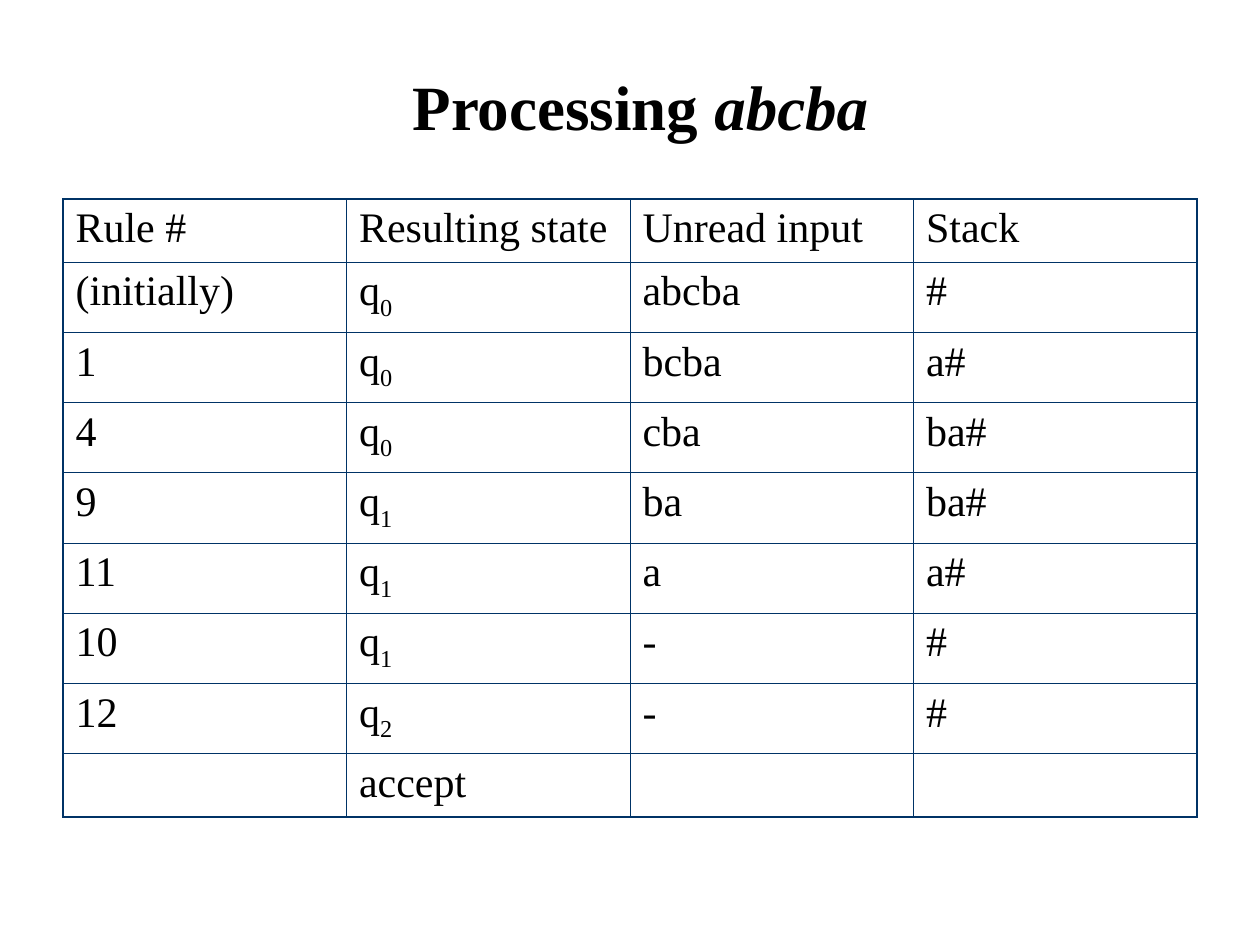
from lxml import etree
from pptx import Presentation
from pptx.dml.color import RGBColor
from pptx.enum import text
from pptx.oxml import ns
from pptx.util import Pt

BLACK = RGBColor(0x00, 0x00, 0x00)
NAVY = RGBColor(0x00, 0x33, 0x66)
FONT = "Times New Roman"
OUTER, INNER = Pt(1.08), Pt(0.45)

HEADINGS = ["Rule #", "Resulting state", "Unread input", "Stack"]
# Each step: rule, state subscript, unread input, stack
STEPS = [
    ("(initially)", "0", "abcba", "#"),
    ("1", "0", "bcba", "a#"),
    ("4", "0", "cba", "ba#"),
    ("9", "1", "ba", "ba#"),
    ("11", "1", "a", "a#"),
    ("10", "1", "-", "#"),
    ("12", "2", "-", "#"),
]
OUTCOME = ["", "accept", "", ""]


def style(paragraph, size):
    paragraph.font.name = FONT
    paragraph.font.size = Pt(size)
    paragraph.font.color.rgb = BLACK


def add_border(cell, side, width):
    line = etree.SubElement(cell._tc.get_or_add_tcPr(), ns.qn("a:ln" + side), w=str(width))
    fill = etree.SubElement(line, ns.qn("a:solidFill"))
    etree.SubElement(fill, ns.qn("a:srgbClr"), val=str(NAVY))


prs = Presentation()
prs.slide_width, prs.slide_height = Pt(720), Pt(540)
slide = prs.slides.add_slide(prs.slide_layouts[5])

# Title
title = slide.shapes.title
title.left, title.top, title.width, title.height = Pt(60), Pt(18), Pt(612), Pt(90)
title.text_frame.auto_size = text.MSO_AUTO_SIZE.NONE
title.text_frame.vertical_anchor = text.MSO_ANCHOR.MIDDLE
heading = title.text_frame.paragraphs[0]
heading.alignment = text.PP_ALIGN.CENTER
heading.line_spacing = 0.9
style(heading, 36)
heading.font.bold = True
heading.add_run().text = "Processing "
word = heading.add_run()
word.text = "abcba"
word.font.italic = True

# Trace table
rows = [HEADINGS, *STEPS, OUTCOME]
last_row, last_column = len(rows) - 1, len(HEADINGS) - 1
trace = slide.shapes.add_table(
    len(rows), len(HEADINGS), Pt(36), Pt(113.76), Pt(648), Pt(324)).table
trace.first_row = trace.horz_banding = False
for column in trace.columns:
    column.width = Pt(162)

for r, values in enumerate(rows):
    is_step = 0 < r < last_row
    trace.rows[r].height = Pt(40.15 if is_step else 36)
    for c, value in enumerate(values):
        cell = trace.cell(r, c)

        # Heavier lines on the outside of the table
        for side, on_edge in (("L", c == 0), ("R", c == last_column),
                              ("T", r == 0), ("B", r == last_row)):
            add_border(cell, side, OUTER if on_edge else INNER)
        cell.fill.background()

        # Cell text, with the state number as a subscript
        entry = cell.text_frame.paragraphs[0]
        entry.space_before = Pt(6)
        style(entry, 24)
        if is_step and c == 1:
            entry.add_run().text = "q"
            subscript = entry.add_run()
            subscript.text = value
            subscript.font._element.set("baseline", "-25000")
        elif value:
            entry.add_run().text = value

prs.save("out.pptx")
